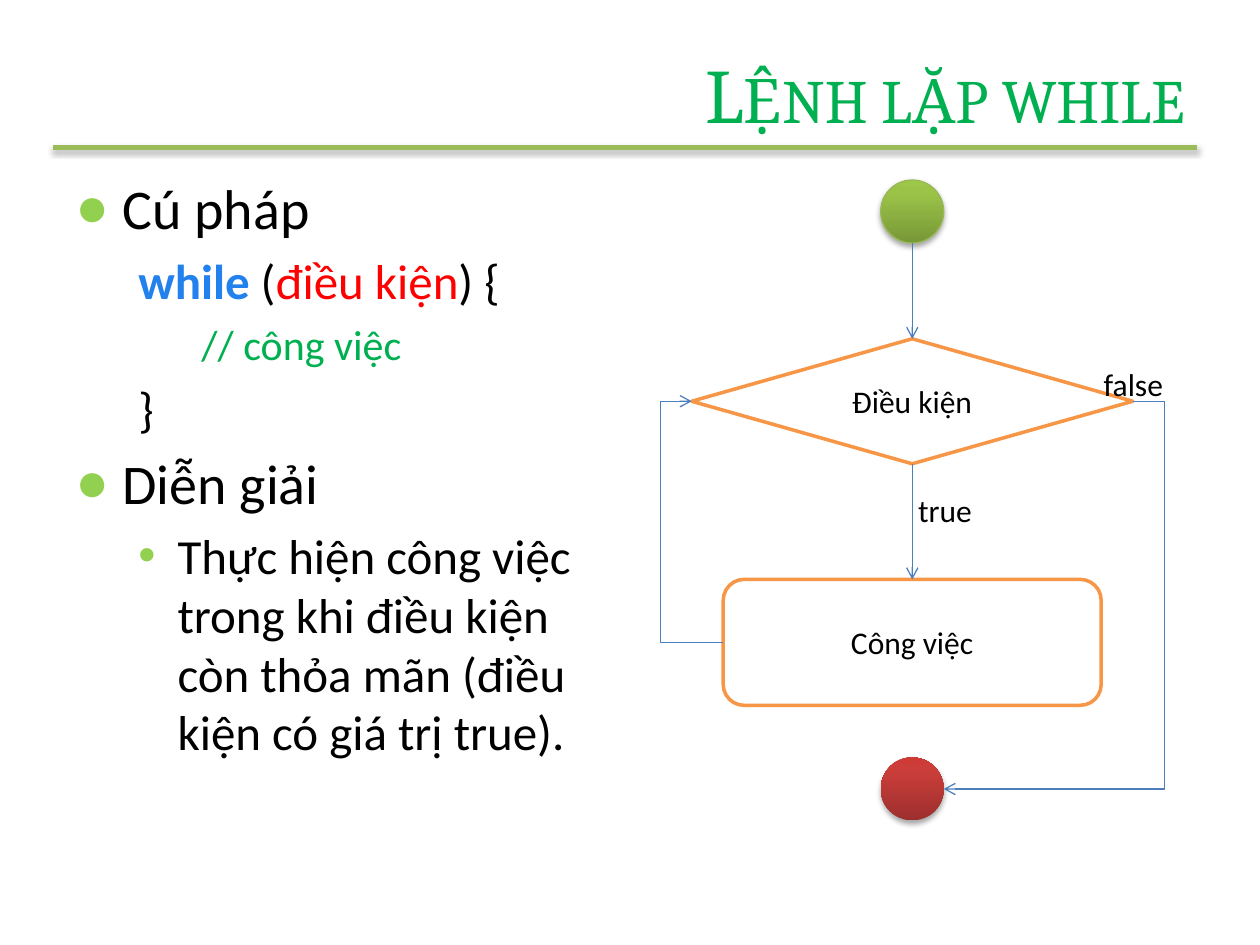
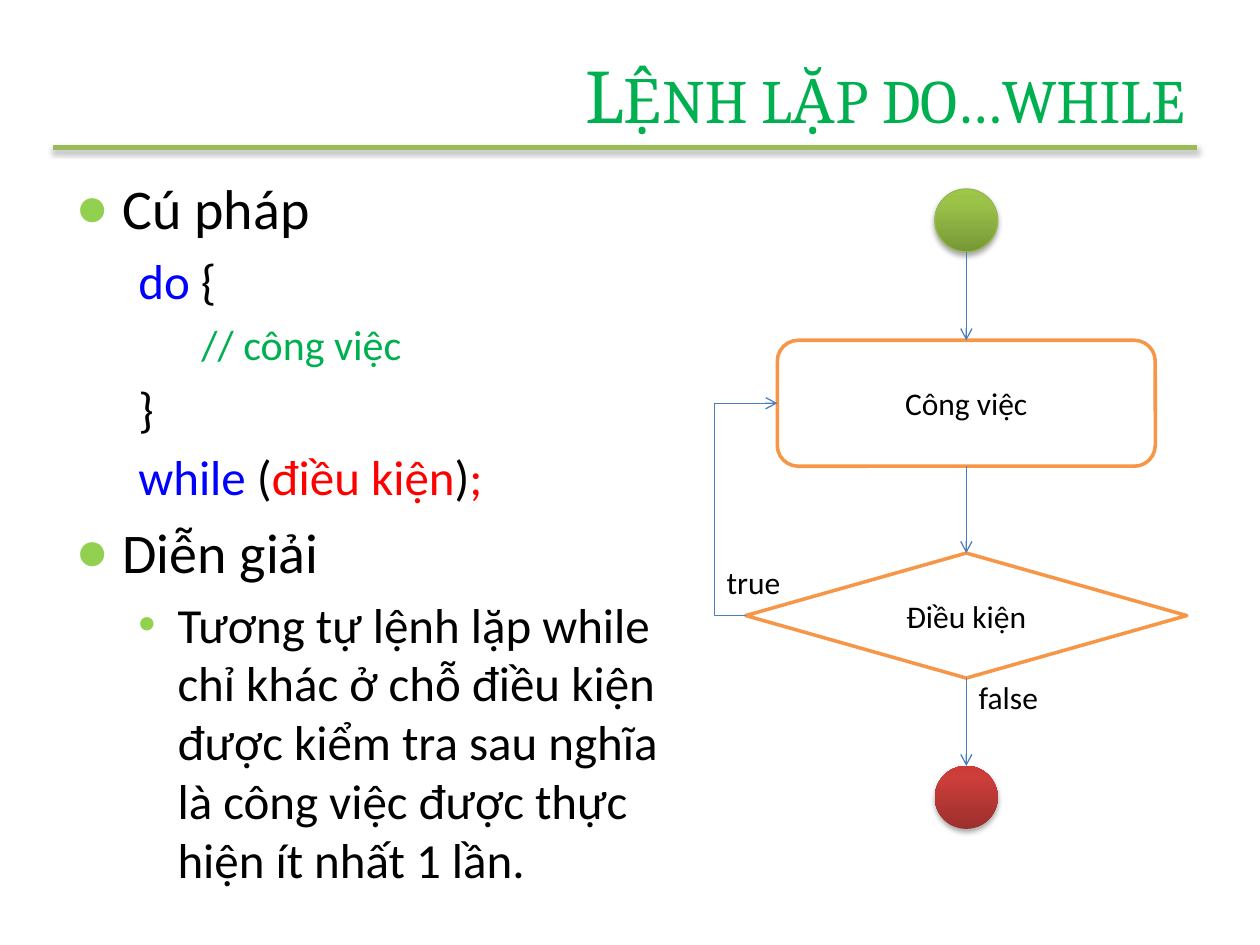
"""Two slides on the while and do…while loops, each with syntax notes and a flowchart."""
from copy import deepcopy

from lxml import etree
from pptx import Presentation
from pptx import util as u
from pptx.dml.color import RGBColor
from pptx.enum import shapes, text
from pptx.oxml.ns import qn

COLORS = {
    "title": "00B050", "rule": "9BBB59", "bullet": "92D050", "text": "000000",
    "comment": "00B050", "keyword": "2381EE", "blue": "0000FF", "red": "FF0000",
    "node": "FFFFFF", "border": "F79646", "link": "4B7EBC", "start_border": "98B955",
}
RGB = {name: RGBColor.from_string(value) for name, value in COLORS.items()}
GRADIENTS = {"start": ["779737", "9BC348", "9DC746"], "end": ["9C2F2D", "CB3E3A", "CE3B37"]}
SIDES = [(0.5, 0), (0, 0.5), (0.5, 1), (1, 0.5)]
TOP, LEFT, BOTTOM, RIGHT = range(4)

# style: level, size, margin, indent, bullet
STYLES = {
    "heading": (0, 32, 0.95, -0.95, "●"),
    "code": (1, 28, 2.06, -0.79, None),
    "inner": (2, 24, 3.18, -0.64, None),
    "point": (1, 28, 2.06, -0.79, "•"),
}
NODES = {
    "start": (shapes.MSO_SHAPE.OVAL, 1.27, 1.27, ""),
    "end": (shapes.MSO_SHAPE.OVAL, 1.27, 1.27, ""),
    "condition": (shapes.MSO_SHAPE.FLOWCHART_DECISION, 8.89, 2.52, "Điều kiện"),
    "work": (shapes.MSO_SHAPE.ROUNDED_RECTANGLE, 7.62, 2.54, "Công việc"),
}
SLIDES = [
    {
        "title": "Lệnh lặp while",
        "body_size": (11.63, 13.64),
        "body": [
            ("heading", [("Cú pháp", "text")]),
            ("code", [("while", "keyword"), (" (", "text"), ("điều kiện", "red"), (") {", "text")]),
            ("inner", [("// công việc", "comment")]),
            ("code", [("}", "text")]),
            ("heading", [("Diễn giải", "text")]),
            ("point", [("Thực hiện công việc trong khi điều kiện còn thỏa mãn "
                        "(điều kiện có giá trị true).", "text")]),
        ],
        "axis": 18.39,
        "tops": {"start": 3.63, "end": 15.27, "condition": 6.83, "work": 11.68},
        "links": [
            ("condition", BOTTOM, "work", TOP, None),
            ("work", LEFT, "condition", LEFT, 2),
            ("condition", RIGHT, "end", RIGHT, -0.167),
            ("start", BOTTOM, "condition", TOP, None),
        ],
        "labels": [("true", 18.26, 9.78, 1.6), ("false", 22, 7.24, 1.73)],
    },
    {
        "title": "Lệnh lặp do…while",
        "body_size": (12.7, 14.81),
        "body": [
            ("heading", [("Cú pháp", "text")]),
            ("code", [("do", "blue"), (" {", "text")]),
            ("inner", [("// công việc", "comment")]),
            ("code", [("}", "text")]),
            ("code", [("while", "blue"), (" (", "text"), ("điều kiện", "red"),
                      (")", "text"), (";", "red")]),
            ("heading", [("Diễn giải", "text")]),
            ("point", [("Tương tự lệnh lặp while chỉ khác ở chỗ điều kiện được kiểm tra sau "
                        "nghĩa là công việc được thực hiện ít nhất 1 lần.", "text")]),
        ],
        "axis": 19.48,
        "tops": {"start": 3.81, "end": 15.44, "condition": 11.15, "work": 6.86},
        "links": [
            ("work", BOTTOM, "condition", TOP, None),
            ("condition", LEFT, "work", LEFT, -1),
            ("start", BOTTOM, "work", TOP, None),
            ("condition", BOTTOM, "end", TOP, None),
        ],
        "labels": [("true", 14.4, 11.23, 1.6), ("false", 19.48, 13.54, 1.73)],
    },
]


def child(parent, tag, **attributes):
    element = etree.SubElement(parent, qn(tag))
    for name, value in attributes.items():
        element.set(name, str(value))
    return element


def cast_shadow(shape):
    effects = child(shape._element.spPr, "a:effectLst")
    shadow = child(effects, "a:outerShdw", blurRad=40000, dist=23000, dir=5400000, rotWithShape=0)
    child(child(shadow, "a:srgbClr", val="000000"), "a:alpha", val=35000)


deck = Presentation()
deck.slide_width, deck.slide_height = u.Cm(25.4), u.Cm(19.05)

for content in SLIDES:
    page = deck.slides.add_slide(deck.slide_layouts[6])

    rule = page.shapes.add_connector(
        shapes.MSO_CONNECTOR.STRAIGHT, u.Cm(1.07), u.Cm(2.97), u.Cm(24.13), u.Cm(2.97))
    rule.line.color.rgb = RGB["rule"]
    rule.line.width = u.Pt(3)
    cast_shadow(rule)

    title = page.shapes.add_textbox(u.Cm(3.68), u.Cm(0.76), u.Cm(20.45), u.Cm(2.21))
    title.text_frame.word_wrap = True
    title.text_frame.vertical_anchor = text.MSO_ANCHOR.MIDDLE
    title.text_frame.text = content["title"]
    para = title.text_frame.paragraphs[0]
    para.alignment = text.PP_ALIGN.RIGHT
    font = para.runs[0].font
    font.name, font.size, font.color.rgb = "Cambria", u.Pt(44), RGB["title"]
    para.runs[0]._r.get_or_add_rPr().set("cap", "small")

    width, height = content["body_size"]
    body = page.shapes.add_textbox(u.Cm(1.27), u.Cm(3.38), u.Cm(width), u.Cm(height))
    body.text_frame.word_wrap = True
    for index, (style, spans) in enumerate(content["body"]):
        level, size, margin, indent, bullet = STYLES[style]
        para = body.text_frame.add_paragraph() if index else body.text_frame.paragraphs[0]
        para.level = level
        para.space_before = u.Pt(size * 0.2)
        properties = para._p.get_or_add_pPr()
        properties.set("marL", str(u.Cm(margin)))
        properties.set("indent", str(u.Cm(indent)))
        if bullet:
            child(child(properties, "a:buClr"), "a:srgbClr", val=COLORS["bullet"])
            child(properties, "a:buFont", typeface="Arial")
            child(properties, "a:buChar", char=bullet)
        else:
            child(properties, "a:buNone")
        for words, color in spans:
            span = para.add_run()
            span.text = words
            span.font.name, span.font.size = "Calibri", u.Pt(size)
            span.font.color.rgb = RGB[color]
            span.font.bold = color == "keyword"

    nodes = {}
    for name, (kind, width, height, caption) in NODES.items():
        node = page.shapes.add_shape(
            kind, u.Cm(content["axis"] - width / 2), u.Cm(content["tops"][name]),
            u.Cm(width), u.Cm(height))
        nodes[name] = node
        if name in GRADIENTS:
            node.fill.gradient()
            node.fill.gradient_angle = 90
            stop_list = node._element.spPr.find(".//" + qn("a:gsLst"))
            stop_list.append(deepcopy(stop_list[0]))
            for stop, position, color in zip(node.fill.gradient_stops, (0, 0.8, 1), GRADIENTS[name]):
                stop.position = position
                stop.color.rgb = RGBColor.from_string(color)
            if name == "start":
                node.line.color.rgb = RGB["start_border"]
                node.line.width = u.Pt(0.75)
            else:
                node.line.fill.background()
            cast_shadow(node)
            continue
        node.shadow.inherit = False
        node.fill.solid()
        node.fill.fore_color.rgb = RGB["node"]
        node.line.color.rgb = RGB["border"]
        node.line.width = u.Pt(2)
        node.text_frame.text = caption
        node.text_frame.vertical_anchor = text.MSO_ANCHOR.MIDDLE
        para = node.text_frame.paragraphs[0]
        para.alignment = text.PP_ALIGN.CENTER
        font = para.runs[0].font
        font.name, font.size, font.color.rgb = "Calibri", u.Pt(18), RGB["text"]

    for source, source_side, target, target_side, bend in content["links"]:
        ends = []
        for name, side in ((source, source_side), (target, target_side)):
            node, (across, down) = nodes[name], SIDES[side]
            ends += [int(node.left + across * node.width), int(node.top + down * node.height)]
        kind = shapes.MSO_CONNECTOR.STRAIGHT if bend is None else shapes.MSO_CONNECTOR.ELBOW
        link = page.shapes.add_connector(kind, *ends)
        if bend is not None:
            guides = link._element.spPr.find(".//" + qn("a:avLst"))
            child(guides, "a:gd", name="adj1", fmla=f"val {round(bend * 100000)}")
        else:
            if source not in GRADIENTS:
                link.begin_connect(nodes[source], source_side)
            if target not in GRADIENTS:
                link.end_connect(nodes[target], target_side)
        link.line.color.rgb = RGB["link"]
        link.line.width = u.Pt(0.75)
        child(link.line._get_or_add_ln(), "a:tailEnd", type="arrow")
        child(link._element.spPr, "a:effectLst")

    for words, left, top, width in content["labels"]:
        label = page.shapes.add_textbox(u.Cm(left), u.Cm(top), u.Cm(width), u.Cm(1.02))
        label.text_frame.word_wrap = False
        label.text_frame.text = words
        font = label.text_frame.paragraphs[0].runs[0].font
        font.name, font.size, font.color.rgb = "Calibri", u.Pt(18), RGB["text"]

deck.save("out.pptx")
